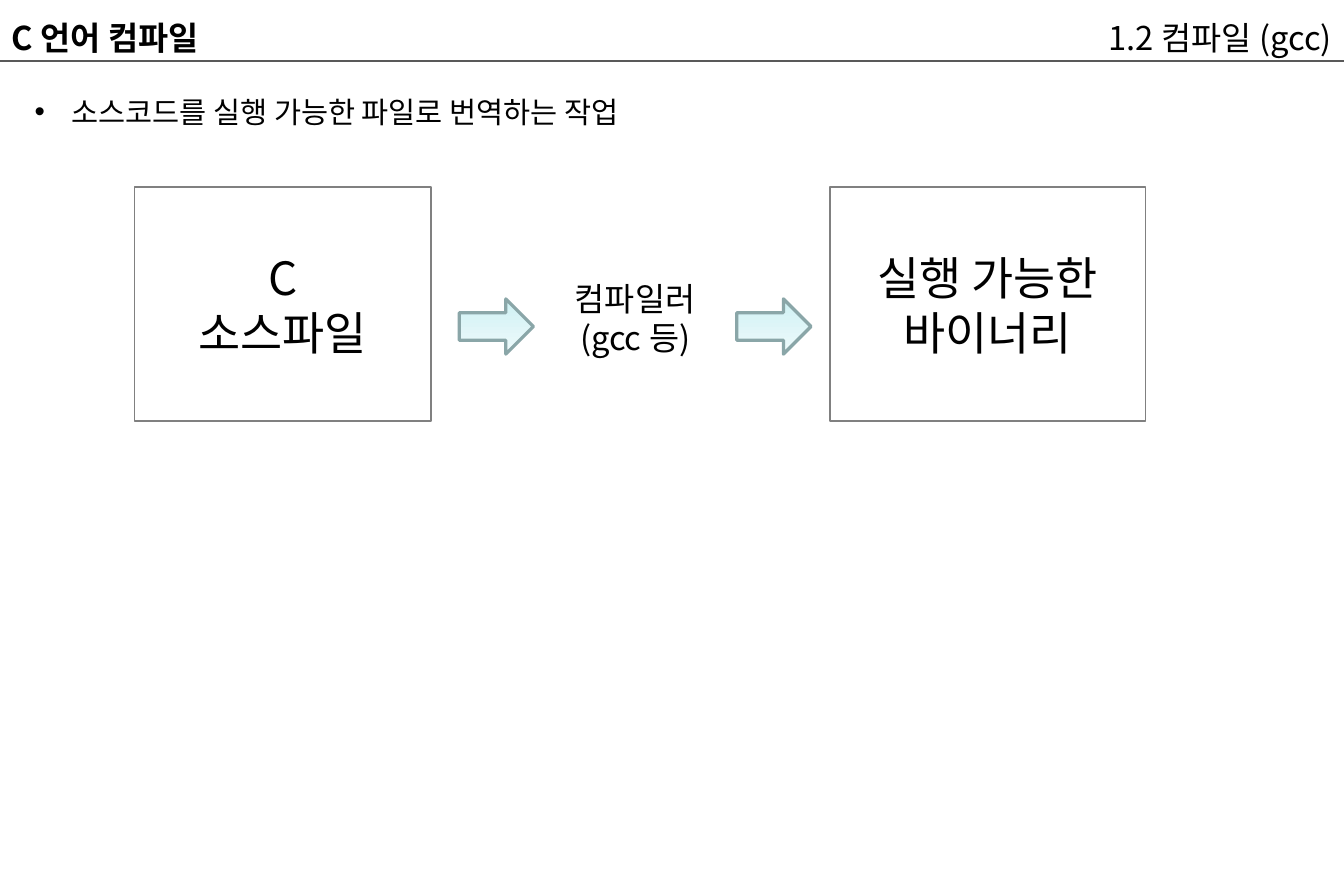
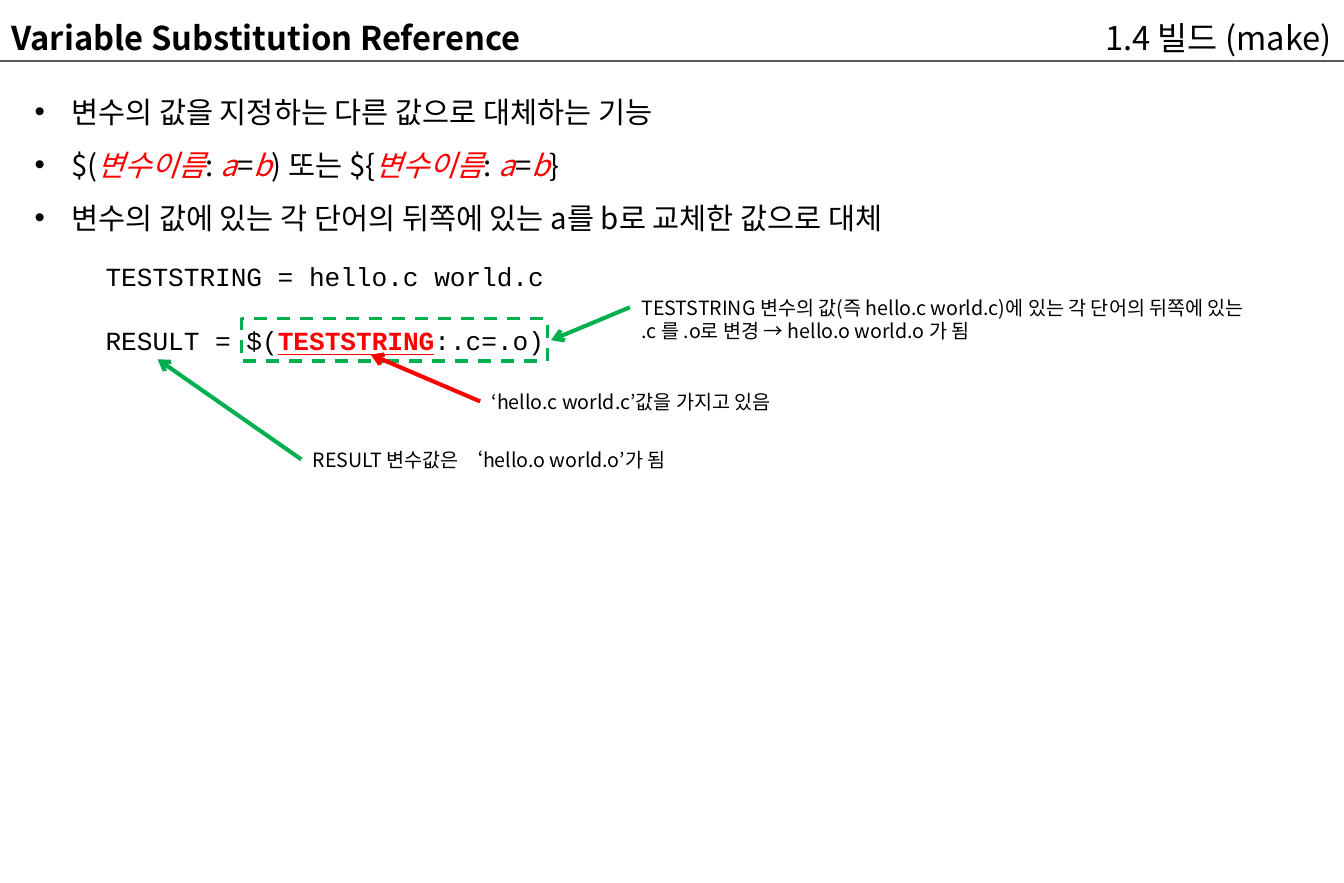
from lxml.etree import SubElement
from pptx import Presentation
from pptx.dml.color import RGBColor
from pptx.enum.dml import MSO_LINE_DASH_STYLE as DASH
from pptx.enum.shapes import MSO_CONNECTOR as CONN, MSO_SHAPE as SHAPE
from pptx.enum.text import MSO_ANCHOR as ANCHOR, PP_ALIGN as ALIGN
from pptx.oxml.ns import qn
from pptx.util import Cm, Pt

SANS, MONO = "Noto Sans CJK KR", "Courier New"
BLACK, RED, GREEN = "000000", "FF0000", "00B050"
RULE, FRAME, ARROW_EDGE = "595959", "808080", "8AA6A8"
ARROW_TOP, ARROW_BOTTOM = "CEF1F4", "EFFAFB"
W, H = 29, 19.05


def rgb(value):
    """Turn a hex string into a colour."""
    return RGBColor.from_string(value)


def cm(*values):
    """Turn numbers into lengths."""
    return [Cm(v) for v in values]


def add_run(p, text, size=18, font=SANS, color=BLACK, **flags):
    """Add a run; flags are bold, italic and underline."""
    r = p.add_run()
    r.text = text
    r.font.size = Pt(size)
    r.font.color.rgb = rgb(color)
    r.font.name = font
    SubElement(r.font._element, qn("a:ea"), typeface=font)
    for name, value in flags.items():
        setattr(r.font, name, value)


def add_bullet(p):
    """Give a paragraph a hanging bullet."""
    pPr = p._p.get_or_add_pPr()
    pPr.set("marL", str(Cm(0.79)))
    pPr.set("indent", str(-Cm(0.79)))
    SubElement(pPr, qn("a:buFont"), typeface="Arial")
    SubElement(pPr, qn("a:buChar"), char="•")


def write(tf, paras, align=ALIGN.LEFT, anchor=ANCHOR.TOP, bullet=False, spacing=None, gap=0, **fmt):
    """Write paragraphs, each a string or a list of (text, format) runs."""
    tf.word_wrap = True
    tf.vertical_anchor = anchor
    for i, runs in enumerate(paras):
        p = tf.add_paragraph() if i else tf.paragraphs[0]
        if bullet:
            add_bullet(p)
        p.alignment = align
        if spacing:
            p.line_spacing = spacing
        if i and gap:
            p.space_before = Pt(gap)
        for text, extra in [(runs, {})] if isinstance(runs, str) else runs:
            add_run(p, text, **{**fmt, **extra})


def add_text(s, box, *paras, **fmt):
    """Add a text box."""
    sp = s.shapes.add_textbox(*cm(*box))
    write(sp.text_frame, paras, **fmt)
    return sp


def add_frame(s, box, color, width, dash=None):
    """Add an unfilled rectangle."""
    sp = s.shapes.add_shape(SHAPE.RECTANGLE, *cm(*box))
    sp.shadow.inherit = False
    sp.fill.background()
    sp.line.color.rgb = rgb(color)
    sp.line.width = Pt(width)
    if dash:
        sp.line.dash_style = dash
    return sp


def add_block_arrow(s, left):
    """Add a right arrow with a vertical gradient."""
    sp = s.shapes.add_shape(SHAPE.RIGHT_ARROW, *cm(left, 6.45, 1.6, 1.19))
    sp.shadow.inherit = False
    sp.fill.gradient()
    sp.fill.gradient_angle = 270
    for stop, color in zip(sp.fill.gradient_stops, (ARROW_TOP, ARROW_BOTTOM)):
        stop.color.rgb = rgb(color)
    sp.line.color.rgb = rgb(ARROW_EDGE)
    sp.line.width = Pt(2)


def add_line(s, start, end, color, width, arrow=False):
    """Add a straight line, with an arrowhead at its end if asked."""
    c = s.shapes.add_connector(CONN.STRAIGHT, *cm(*start, *end))
    c.line.color.rgb = rgb(color)
    c.line.width = Pt(width)
    if arrow:
        SubElement(c.line._get_or_add_ln(), qn("a:tailEnd"), type="arrow")
    SubElement(c._element.spPr, qn("a:effectLst"))
    return c


def add_slide(prs, title, section):
    """Add a slide with the shared header."""
    s = prs.slides.add_slide(prs.slide_layouts[6])
    add_line(s, (0, 1.32), (W, 1.32), RULE, 1.5)
    add_text(s, (0, 0.25, 11.91, 1.12), title, size=20, bold=True)
    add_text(s, (18.29, 0.25, 10.7, 1.32), section, size=20, align=ALIGN.RIGHT)
    return s


def add_bullets(s, height, *paras):
    """Add the bulleted body text."""
    add_text(s, (0.5, 1.52, 28, height), *paras, bullet=True, spacing=1.5)


def compile_slide(prs):
    """Build the slide on compiling."""
    s = add_slide(prs, "C 언어 컴파일", "1.2 컴파일 (gcc)")
    add_bullets(s, 1.27, "소스코드를 실행 가능한 파일로 번역하는 작업")
    for left, width, lines in ((2.9, 6.4, ("C", "소스파일")),
                               (17.91, 6.81, ("실행 가능한", "바이너리"))):
        sp = add_frame(s, (left, 4.04, width, 5.05), FRAME, 1)
        write(sp.text_frame, lines, size=28, align=ALIGN.CENTER, anchor=ANCHOR.MIDDLE)
    add_text(s, (11.51, 5.89, 4.39, 1.96), "컴파일러", "(gcc 등)", size=20, align=ALIGN.CENTER)
    for left in (9.91, 15.9):
        add_block_arrow(s, left)


def substitution_slide(prs):
    """Build the slide on variable substitution."""
    s = add_slide(prs, "Variable Substitution Reference", "1.4 빌드 (make)")
    var = {"color": RED, "italic": True}
    ref = [("변수이름", var), (": ", {}), ("a", var), ("=", {}), ("b", var)]
    add_bullets(s, 9.5,
                "변수의 값을 지정하는 다른 값으로 대체하는 기능",
                [("$(", {}), *ref, (") 또는 ${", {}), *ref, ("}", {})],
                "변수의 값에 있는 각 단어의 뒤쪽에 있는 a를 b로 교체한 값으로 대체")
    add_text(s, (2.03, 5.49, 16.61, 2.31),
             "TESTSTRING = hello.c world.c",
             [("RESULT = $(", {}),
              ("TESTSTRING", {"color": RED, "bold": True, "underline": True}),
              (":.c=.o)", {})],
             size=16, font=MONO, gap=20)
    add_frame(s, (5.21, 6.88, 6.6, 0.91), GREEN, 2, DASH.DASH)
    add_text(s, (13.59, 6.25, 13.51, 1.27),
             "TESTSTRING 변수의 값(즉 hello.c world.c)에 있는 각 단어의 뒤쪽에 있는 "
             ".c 를 .o로 변경 → hello.o world.o 가 됨", size=12)
    add_line(s, (13.59, 6.63), (11.89, 7.34), GREEN, 2.5, arrow=True)
    for box, text, target, color in (
            ((10.36, 8.28, 7.14, 0.76), "‘hello.c world.c’값을 가지고 있음", (8, 7.65), RED),
            ((6.5, 9.53, 10.39, 0.76), "RESULT 변수값은 ‘hello.o world.o’가 됨", (3.4, 7.75), GREEN)):
        note = add_text(s, box, text, size=12)
        c = add_line(s, box[:2], target, color, 2.5, arrow=True)
        c.begin_connect(note, 1)


def main():
    """Build and save the presentation."""
    prs = Presentation()
    prs.slide_width, prs.slide_height = cm(W, H)
    compile_slide(prs)
    substitution_slide(prs)
    prs.save("out.pptx")


if __name__ == "__main__":
    main()
